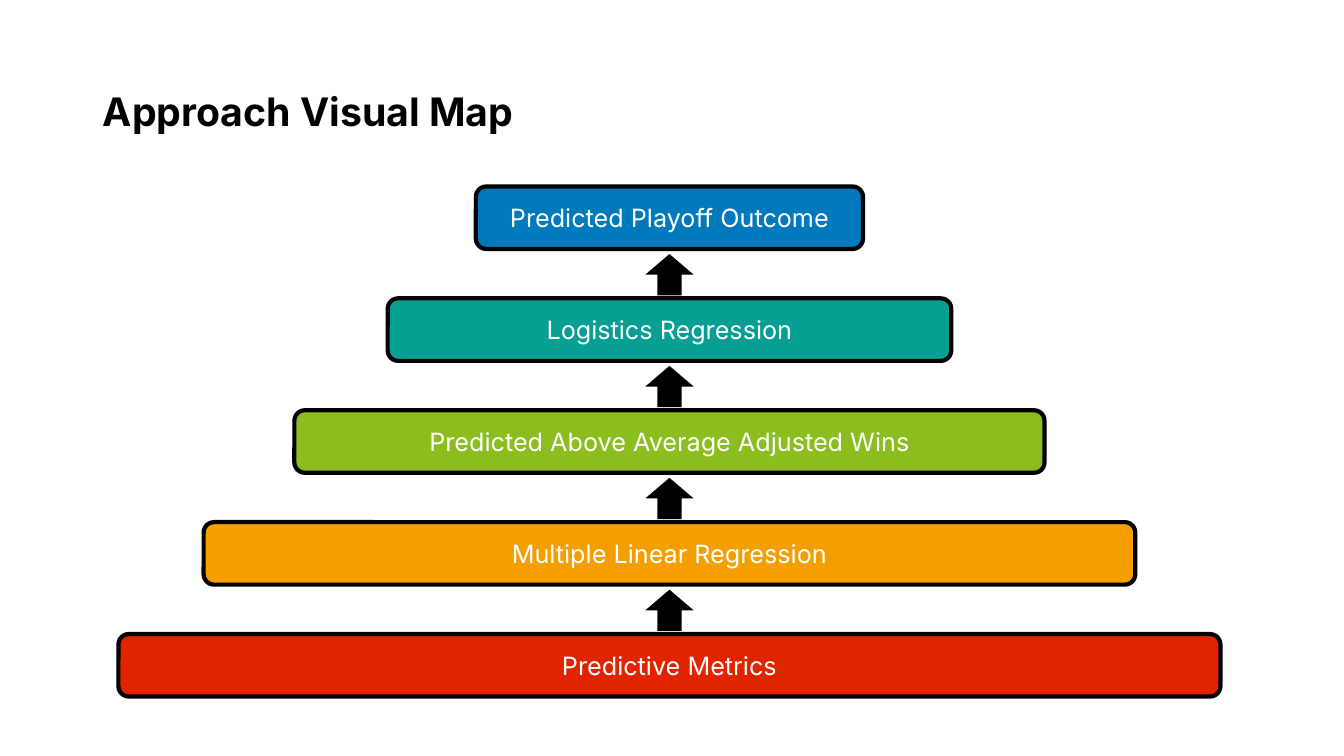
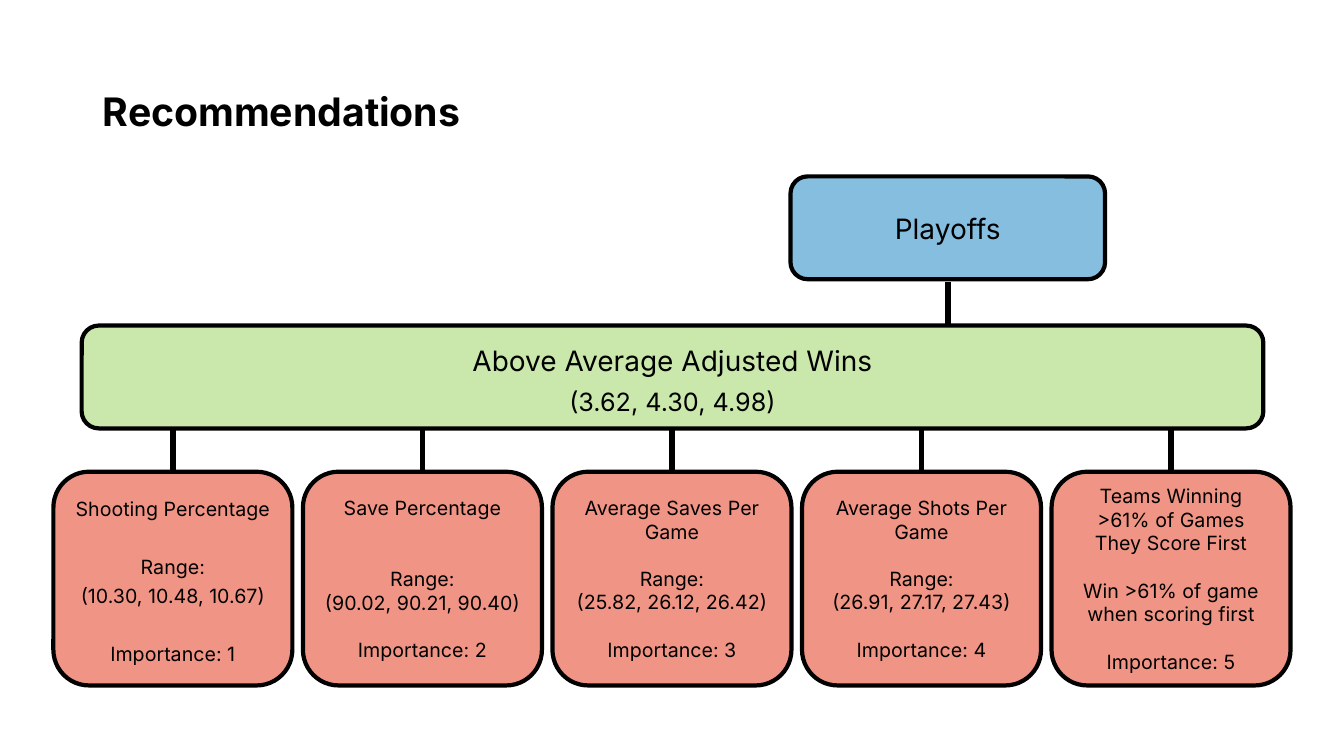
from lxml import etree
from pptx import Presentation
from pptx.dml.color import RGBColor
from pptx.enum.shapes import MSO_CONNECTOR, MSO_SHAPE
from pptx.enum.text import MSO_ANCHOR, PP_ALIGN
from pptx.oxml.ns import qn
from pptx.util import Inches, Pt

# Shared style
FONT, BLACK, WHITE = "Inter", "000000", "FFFFFF"
TITLE = {"size": Pt(28), "bold": True}
TINT = 48  # opacity in percent

# Approach slide: bars from top to bottom (text, width, fill)
BARS = [
    ("Predicted Playoff Outcome", 3.84, "0079BD"),
    ("Logistics Regression", 5.59, "079E94"),
    ("Predicted Above Average Adjusted Wins", 7.44, "8CBD1F"),
    ("Multiple Linear Regression", 9.24, "F49E00"),
    ("Predictive Metrics", 10.93, "E12300"),
]
BAR_MID, BAR_TOP, BAR_PITCH, BAR_H = 6.64, 1.85, 1.11, 0.62
ARROW_W, ARROW_H, ARROW_DROP = 0.48, 0.41, 0.67

# Recommendations slide: boxes (left, top, width, height)
GOAL_BOX = (7.84, 1.75, 3.12, 1.02)
WINS_BOX = (0.81, 3.23, 11.72, 1.02)
CARD_LEFT, CARD_TOP, CARD_W, CARD_H = 0.53, 4.68, 2.37, 2.12
CARD_PITCH = (10.43 - CARD_LEFT) / 4
# Each card: line pitch (None is single), then (text, points before)
LINE = 17
CARDS = [
    (20.6, [("Shooting Percentage", 0), ("Range:", 20.6),
            ("(10.30, 10.48, 10.67)", 0), ("Importance: 1", 20.6)]),
    (None, [("Save Percentage", 0), ("Range:", 2 * LINE),
            ("(90.02, 90.21, 90.40)", 0), ("Importance: 2", LINE)]),
    (None, [("Average Saves Per Game", 0), ("Range:", LINE),
            ("(25.82, 26.12, 26.42)", 0), ("Importance: 3", LINE)]),
    (None, [("Average Shots Per Game", 0), ("Range:", LINE),
            ("(26.91, 27.17, 27.43)", 0), ("Importance: 4", LINE)]),
    (None, [("Teams Winning >61% of Games They Score First", 0),
            ("Win >61% of game when scoring first", LINE),
            ("Importance: 5", LINE)]),
]


def rgb(value):
    return RGBColor.from_string(value)


def write(p, text, color=BLACK, **style):
    r = p.add_run()
    r.text = text
    r.font.name = FONT
    r.font.color.rgb = rgb(color)
    for name, value in style.items():
        setattr(r.font, name, value)


def add_slide(title, width):
    s = prs.slides.add_slide(prs.slide_layouts[5])
    sp = s.shapes.title
    sp.left, sp.top, sp.width, sp.height = map(Inches, (0.92, 0.4, width, 1.45))
    tf = sp.text_frame
    tf.word_wrap, tf.vertical_anchor = True, MSO_ANCHOR.MIDDLE
    p = tf.paragraphs[0]
    p.alignment, p.line_spacing = PP_ALIGN.LEFT, 0.9
    write(p, title, **TITLE)
    return s


def add_shape(s, kind, box, fill, opacity=100):
    sp = s.shapes.add_shape(kind, *map(Inches, box))
    sp.shadow.inherit = False
    sp.fill.solid()
    sp.fill.fore_color.rgb = rgb(fill)
    if opacity < 100:
        clr = sp.fill._xPr.find(qn("a:solidFill"))[0]
        etree.SubElement(clr, qn("a:alpha")).set("val", str(opacity * 1000))
    return sp


def add_box(s, box, fill, lines, color=BLACK, opacity=100, pitch=None):
    """Rounded box; lines hold (text, size, points before)."""
    sp = add_shape(s, MSO_SHAPE.ROUNDED_RECTANGLE, box, fill, opacity)
    sp.line.color.rgb, sp.line.width = rgb(BLACK), Pt(3)
    tf = sp.text_frame
    tf.word_wrap, tf.vertical_anchor = True, MSO_ANCHOR.MIDDLE
    tf.margin_top = tf.margin_bottom = 0
    for i, (text, size, before) in enumerate(lines):
        p = tf.add_paragraph() if i else tf.paragraphs[0]
        p.alignment, p.space_before = PP_ALIGN.CENTER, Pt(before)
        if pitch:
            p.line_spacing = Pt(pitch)
        write(p, text, color, size=Pt(size))


def add_link(s, x, top, bottom):
    c = s.shapes.add_connector(MSO_CONNECTOR.STRAIGHT, *map(Inches, (x, top, x, bottom)))
    c.line.color.rgb, c.line.width = rgb(BLACK), Pt(4)
    etree.SubElement(c._element.spPr, qn("a:effectLst"))


prs = Presentation()
prs.slide_width, prs.slide_height = Inches(13.33), Inches(7.5)

# Approach: pyramid of bars with arrows between them
s = add_slide("Approach Visual Map", 6.56)
for i, (text, width, fill) in enumerate(BARS):
    top = BAR_TOP + i * BAR_PITCH
    add_box(s, (BAR_MID - width / 2, top, width, BAR_H), fill, [(text, 18, 0)], WHITE)
    if i < len(BARS) - 1:
        arrow = add_shape(s, MSO_SHAPE.UP_ARROW,
                          (BAR_MID - ARROW_W / 2, top + ARROW_DROP, ARROW_W, ARROW_H), BLACK)
        arrow.line.fill.background()

# Recommendations: goal, wins and the five metric cards
s = add_slide("Recommendations", 8.17)
add_box(s, GOAL_BOX, "0079BD", [("Playoffs", 20, 0)], opacity=TINT)
add_box(s, WINS_BOX, "92D050",
        [("Above Average Adjusted Wins", 20, 0), ("(3.62, 4.30, 4.98)", 18, 0)],
        opacity=TINT, pitch=28)
wins_bottom = WINS_BOX[1] + WINS_BOX[3]
for i, (pitch, lines) in enumerate(CARDS):
    left = CARD_LEFT + i * CARD_PITCH
    add_box(s, (left, CARD_TOP, CARD_W, CARD_H), "E12300",
            [(text, 14, before) for text, before in lines], opacity=TINT, pitch=pitch)
    add_link(s, left + CARD_W / 2, wins_bottom, CARD_TOP)
add_link(s, GOAL_BOX[0] + GOAL_BOX[2] / 2, GOAL_BOX[1] + GOAL_BOX[3] + 0.03, WINS_BOX[1])

prs.save("out.pptx")
